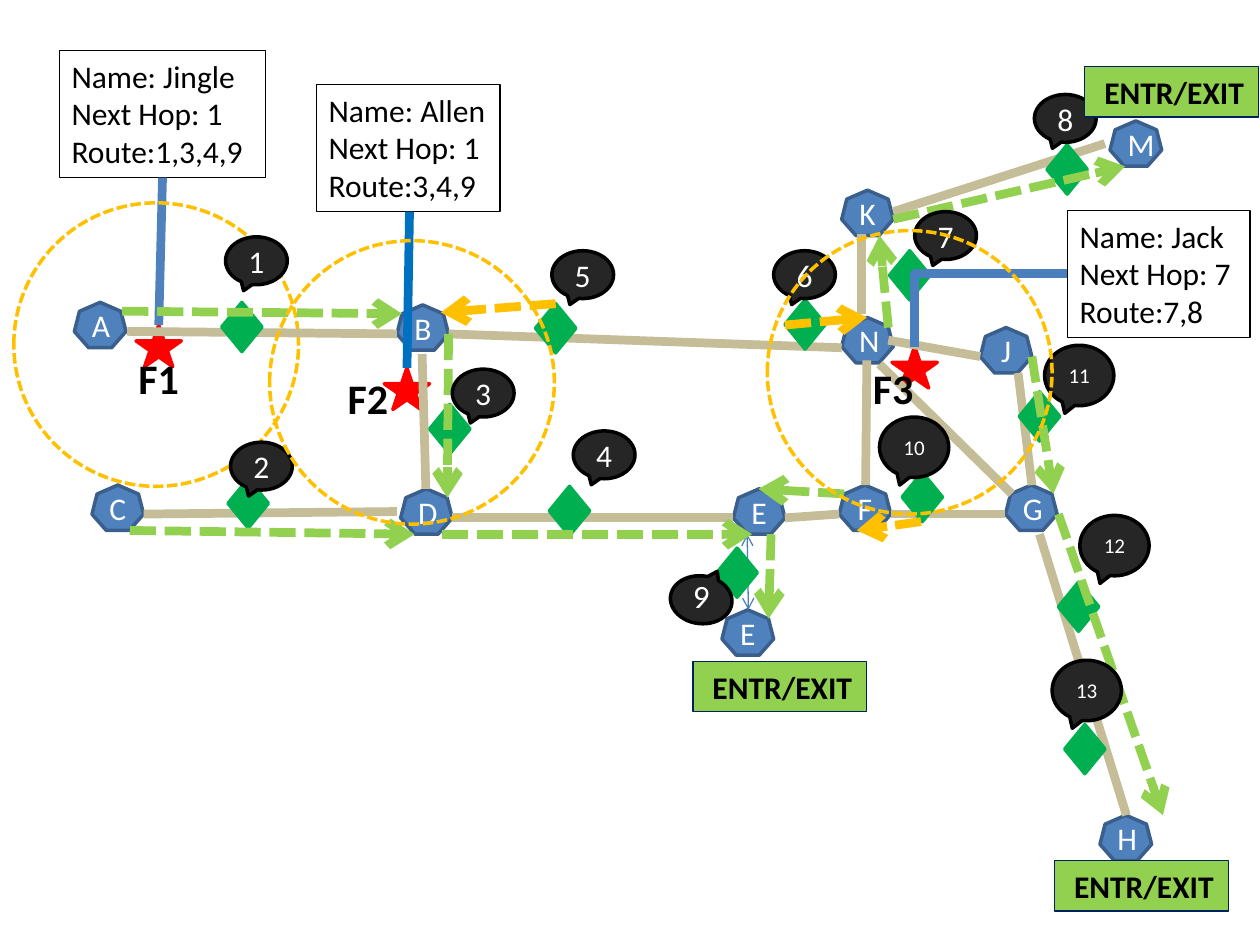
"""Draw a road network with junctions, segments, exits and three followed vehicles."""
from dataclasses import dataclass
from typing import NamedTuple

import pptx
import pptx.dml.color
import pptx.enum.dml
import pptx.enum.shapes
import pptx.enum.text
import pptx.oxml
import pptx.oxml.ns
import pptx.util

PX = 9144
SHAPE = pptx.enum.shapes.MSO_SHAPE
CONNECTOR = pptx.enum.shapes.MSO_CONNECTOR
ANCHOR = pptx.enum.text.MSO_ANCHOR
ALIGN = pptx.enum.text.PP_ALIGN
SIZE = pptx.enum.text.MSO_AUTO_SIZE


@dataclass(frozen=True)
class Theme:
    font: str = "Calibri"
    ink: str = "000000"
    paper: str = "FFFFFF"
    node: str = "4F81BD"
    node_edge: str = "3A5F8C"
    road: str = "C4BD97"
    marker: str = "00B050"
    route: str = "92D050"
    amber: str = "FFC000"
    star: str = "FF0000"
    badge: str = "262626"
    exit_edge: str = "002060"
    pointer: str = "0070C0"
    elbow: str = "4B7EBC"
    small: int = 12
    body: int = 18
    large: int = 24
    hairline: float = 0.75
    outline: int = 2
    thick: int = 5


T = Theme()


class Box(NamedTuple):
    x: int
    y: int
    w: int
    h: int


class Label(NamedTuple):
    text: str
    x: int
    y: int


class Badge(NamedTuple):
    text: str
    x: int
    y: int
    w: int = 49
    h: int = 38
    size: int = T.body
    angle: float = 0


class Segment(NamedTuple):
    x1: int
    y1: int
    x2: int
    y2: int


NODES = [
    Label("B", 315, 242), Label("D", 318, 388), Label("C", 73, 385), Label("A", 59, 240),
    Label("N", 668, 252), Label("M", 881, 96), Label("E", 582, 388), Label("G", 798, 385),
    Label("F", 666, 385), Label("H", 873, 647), Label("J", 778, 260), Label("K", 668, 151),
    Label("E", 573, 484),
]
ROADS = [
    Segment(101, 263, 315, 265), Segment(356, 265, 668, 276), Segment(684, 249, 684, 186),
    Segment(709, 168, 877, 114), Segment(114, 408, 315, 406), Segment(338, 388, 335, 281),
    Segment(359, 411, 582, 411), Segment(623, 411, 666, 408), Segment(707, 408, 798, 408),
    Segment(825, 424, 894, 647), Segment(819, 385, 808, 296), Segment(778, 283, 705, 270),
    Segment(687, 385, 688, 286), Segment(803, 392, 698, 289),
]
MARKERS = [
    (176, 240), (181, 380), (716, 375), (569, 435), (436, 386), (341, 321), (809, 311),
    (706, 199), (831, 115), (425, 241), (623, 238), (840, 462), (845, 575),
]
ROUTES = [
    Segment(97, 247, 319, 249), Segment(356, 265, 355, 395), Segment(351, 424, 597, 424),
    Segment(612, 424, 610, 491), Segment(103, 421, 329, 424), Segment(705, 260, 698, 187),
    Segment(709, 174, 893, 132), Segment(840, 408, 923, 647), Segment(670, 392, 602, 388),
    Segment(819, 283, 836, 392),
]
RETURNS = [Segment(731, 414, 680, 421), Segment(441, 241, 350, 248), Segment(623, 258, 688, 252)]
BADGES = [
    Badge("1", 179, 188), Badge("2", 183, 351), Badge("3", 359, 293), Badge("6", 614, 199),
    Badge("6", 532, 457, angle=186.2), Badge("4", 455, 342), Badge("7", 726, 168),
    Badge("8", 821, 75), Badge("5", 438, 199),
] + [Badge(text, x, y, 55, 48, T.small) for text, x, y in
     [("10", 698, 331), ("11", 829, 274), ("12", 857, 409), ("13", 835, 524)]]
STARS = [(108, 258), (708, 275), (305, 292)]
FLAGS = [Label("F1", 100, 275), Label("F2", 266, 291), Label("F3", 683, 283)]
EXITS = [(861, 53), (550, 525), (837, 683)]


def rgb(color: str):
    """Return an RGB colour from its hex digits."""
    return pptx.dml.color.RGBColor.from_string(color)


def style_line(line, color: str, width: float, dashed: bool = False) -> None:
    """Set colour, width and dash of a line."""
    line.color.rgb = rgb(color)
    line.width = pptx.util.Pt(width)
    if dashed:
        line.dash_style = pptx.enum.dml.MSO_LINE.SQUARE_DOT


def add_shape(slide, kind, box: Box, fill: str | None, edge: str, width: float = T.outline,
              dashed: bool = False):
    """Add a flat preset shape, hollow when no fill is given."""
    sp = slide.shapes.add_shape(kind, *(v * PX for v in box))
    sp.shadow.inherit = False
    if fill:
        sp.fill.solid()
        sp.fill.fore_color.rgb = rgb(fill)
    else:
        sp.fill.background()
    style_line(sp.line, edge, width, dashed)
    return sp


def write(sp, lines: list[str], color: str, size: int = T.body, bold: bool = False,
          align=ALIGN.LEFT, anchor=ANCHOR.TOP) -> None:
    """Write one paragraph per line into a shape."""
    tf = sp.text_frame
    tf.vertical_anchor = anchor
    tf.text = "\n".join(lines)
    for p in tf.paragraphs:
        p.alignment = align
        p.font.name = T.font
        p.font.size = pptx.util.Pt(size)
        p.font.bold = bold
        p.font.color.rgb = rgb(color)


def add_centred(slide, kind, box: Box, text: str, fill: str, edge: str, size: int = T.body):
    """Add a filled shape with a centred light label."""
    sp = add_shape(slide, kind, box, fill, edge)
    write(sp, [text], T.paper, size, align=ALIGN.CENTER, anchor=ANCHOR.MIDDLE)
    return sp


def add_panel(slide, box: Box, lines: list[str], fill: str | None = None, edge: str = T.ink,
              bold: bool = False) -> None:
    """Add a rectangle that fits its unwrapped text."""
    sp = add_shape(slide, SHAPE.RECTANGLE, box, fill, edge, T.hairline)
    write(sp, lines, T.ink, bold=bold)
    sp.text_frame.word_wrap = False
    sp.text_frame.auto_size = SIZE.SHAPE_TO_FIT_TEXT


def add_line(slide, seg: Segment, color: str, width: float = T.thick, dashed: bool = False,
             ends: tuple[str, ...] = (), kind=CONNECTOR.STRAIGHT):
    """Add a flat connector with open arrowheads at the named ends."""
    cxn = slide.shapes.add_connector(kind, *(v * PX for v in seg))
    style_line(cxn.line, color, width, dashed)
    sp_pr = cxn.element.spPr
    ln = sp_pr.find(pptx.oxml.ns.qn("a:ln"))
    for end in ends:
        ln.append(pptx.oxml.parse_xml(f'<a:{end} {pptx.oxml.ns.nsdecls("a")} type="arrow"/>'))
    sp_pr.append(pptx.oxml.parse_xml(f'<a:effectLst {pptx.oxml.ns.nsdecls("a")}/>'))
    return cxn


def add_range(slide, x: int, y: int) -> None:
    """Add a dashed circle for the reach of a vehicle."""
    add_shape(slide, SHAPE.OVAL, Box(x, y, 226, 225), None, T.amber, dashed=True)


def add_flag(slide, flag: Label) -> None:
    """Add a bold vehicle label."""
    tb = slide.shapes.add_textbox(*(v * PX for v in Box(flag.x, flag.y, 59, 50)))
    tb.text_frame.word_wrap = True
    write(tb, [flag.text], T.ink, T.large, bold=True)
    tb.text_frame.auto_size = SIZE.SHAPE_TO_FIT_TEXT


def main() -> None:
    """Build and save the slide."""
    prs = pptx.Presentation()
    prs.slide_width, prs.slide_height = 1000 * PX, 750 * PX
    slide = prs.slides.add_slide(prs.slide_layouts[6])

    for x, y in STARS:
        add_shape(slide, SHAPE.STAR_5_POINT, Box(x, y, 36, 33), T.star, T.star)
    add_panel(slide, Box(47, 40, 164, 101), ["Name: Jingle", "Next Hop: 1", "Route:1,3,4,9"])
    add_line(slide, Segment(126, 258, 129, 141), T.node)
    add_range(slide, 11, 161)
    for node in NODES:
        add_centred(slide, SHAPE.HEPTAGON, Box(node.x, node.y, 41, 36), node.text,
                    T.node, T.node_edge)
    for road in ROADS:
        add_line(slide, road, T.road)
    add_line(slide, Segment(593, 424, 594, 484), T.elbow, T.hairline, ends=("headEnd", "tailEnd"))
    for x, y in MARKERS:
        add_shape(slide, SHAPE.DIAMOND, Box(x, y, 32, 39), T.marker, T.marker)
    for route in ROUTES:
        add_line(slide, route, T.route, dashed=True, ends=("tailEnd",))
    for badge in BADGES:
        sp = add_centred(slide, SHAPE.OVAL_CALLOUT, Box(badge.x, badge.y, badge.w, badge.h),
                         badge.text, T.badge, T.ink, badge.size)
        sp.rotation = badge.angle
    for flag in FLAGS:
        add_flag(slide, flag)
    add_panel(slide, Box(251, 67, 146, 101), ["Name: Allen", "Next Hop: 1", "Route:3,4,9"])
    add_line(slide, Segment(323, 292, 325, 168), T.pointer)
    add_range(slide, 214, 191)
    add_panel(slide, Box(847, 167, 145, 101), ["Name: Jack", "Next Hop: 7", "Route:7,8"])
    elbow = add_line(slide, Segment(847, 217, 726, 275), T.elbow, kind=CONNECTOR.ELBOW)
    elbow.element.spPr.find(pptx.oxml.ns.qn("a:prstGeom")).set("prst", "bentConnector2")
    add_range(slide, 609, 183)
    for x, y in EXITS:
        add_panel(slide, Box(x, y, 138, 40), [" ENTR/EXIT"], T.route, T.exit_edge, bold=True)
    for back in RETURNS:
        add_line(slide, back, T.amber, dashed=True, ends=("tailEnd",))
    prs.save("out.pptx")


if __name__ == "__main__":
    main()
